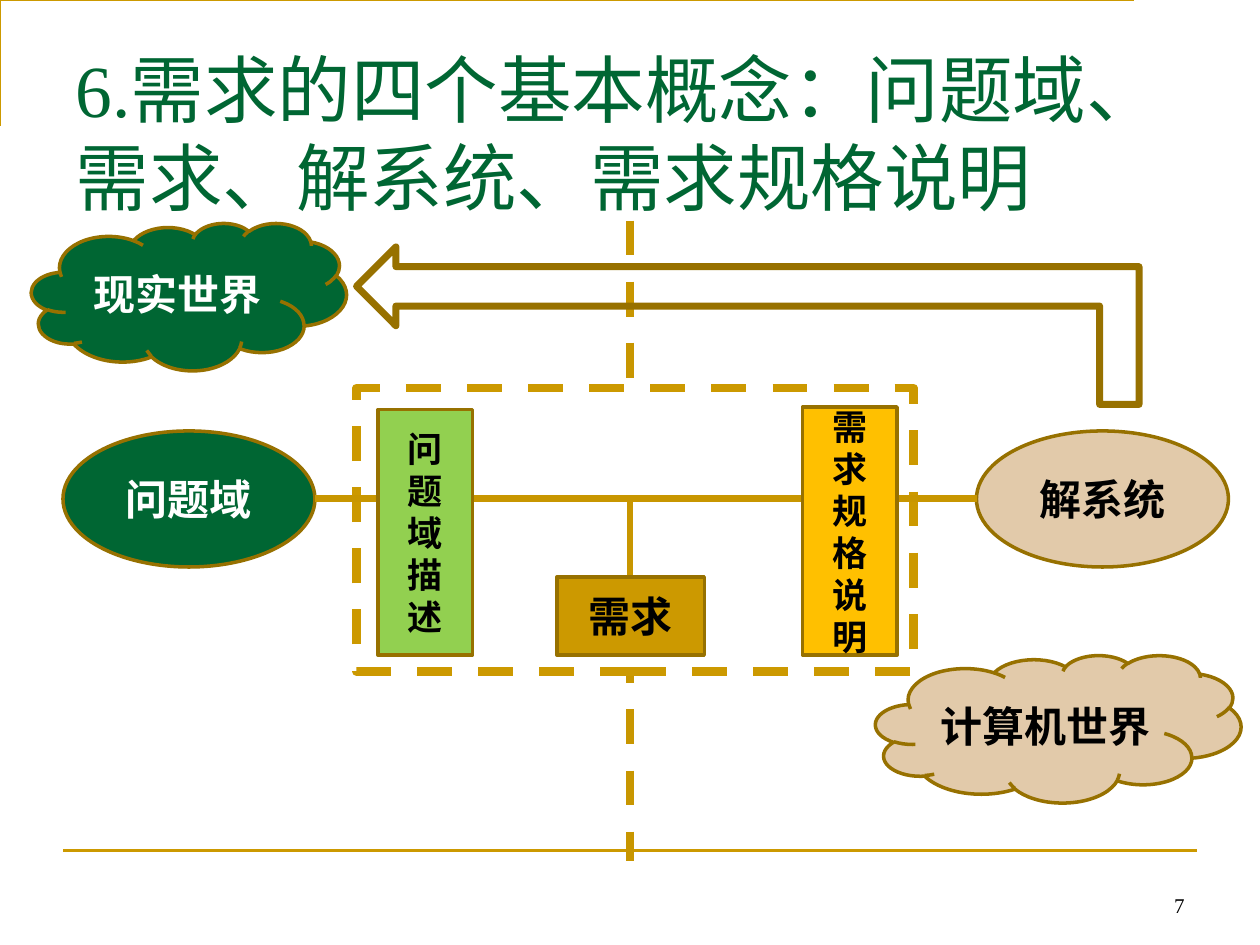
from dataclasses import dataclass

from lxml import etree
from pptx import Presentation
from pptx.dml.color import RGBColor
from pptx.enum import dml, shapes, text
from pptx.oxml import ns
from pptx.util import Inches, Pt

COLORS = {
    "gold": "CC9900", "link": "C89600", "outline": "977100",
    "green": "006633", "tan": "E2CAAA", "lime": "92D050", "amber": "FFC000",
    "white": "FFFFFF", "black": "000000",
}
KIND = shapes.MSO_SHAPE
ALIGN = text.PP_ALIGN


@dataclass
class Node:
    kind: int
    left: float
    top: float
    width: float
    height: float
    fill: str | None
    label: str = ""
    size: int = 24
    ink: str = "black"
    line: str = "outline"
    weight: float = 2
    dashed: bool = False
    rotation: float = 0


@dataclass
class Link:
    start: tuple[float, float]
    end: tuple[float, float]
    color: str = "link"
    weight: float = 4
    dashed: bool = False


def rgb(name: str) -> RGBColor:
    return RGBColor.from_string(COLORS[name])


def style_line(line, color: str, weight: float, dashed: bool = False) -> None:
    line.color.rgb = rgb(color)
    line.width = Pt(weight)
    if dashed:
        line.dash_style = dml.MSO_LINE.DASH


def write(frame, words: str, size: int, font: str, color: str,
          align, anchor, bold: bool = False) -> None:
    frame.word_wrap = True
    frame.auto_size = text.MSO_AUTO_SIZE.NONE
    frame.vertical_anchor = anchor
    para = frame.paragraphs[0]
    para.alignment = align
    span = para.add_run()
    span.text = words
    span.font.size = Pt(size)
    span.font.name = font
    span.font.bold = bold
    span.font.color.rgb = rgb(color)


def draw_node(page, node: Node) -> None:
    shape = page.shapes.add_shape(node.kind, Inches(node.left), Inches(node.top),
                                  Inches(node.width), Inches(node.height))
    shape.shadow.inherit = False
    shape.rotation = node.rotation
    style_line(shape.line, node.line, node.weight, node.dashed)
    if node.fill:
        shape.fill.solid()
        shape.fill.fore_color.rgb = rgb(node.fill)
    else:
        shape.fill.background()
    if node.label:
        write(shape.text_frame, node.label, node.size, "Arial", node.ink,
              ALIGN.CENTER, text.MSO_ANCHOR.MIDDLE, bold=True)


def draw_link(page, link: Link) -> None:
    ends = [Inches(value) for value in (*link.start, *link.end)]
    line = page.shapes.add_connector(shapes.MSO_CONNECTOR.STRAIGHT, *ends)
    style_line(line.line, link.color, link.weight, link.dashed)
    etree.SubElement(line._element.spPr, ns.qn("a:effectLst"))


def draw_corner(page) -> None:
    """Thin rule along the top and down the left of the title."""
    builder = page.shapes.build_freeform(0.42, 0.92, scale=Inches(1))
    builder.add_line_segments([(0.42, 0.25), (9.42, 0.25)], close=False)
    corner = builder.convert_to_shape()
    corner.shadow.inherit = False
    corner.fill.background()
    style_line(corner.line, "gold", 1.5)


def draw_title(page) -> None:
    title = page.shapes.title
    title.left, title.top = Inches(0.5), Inches(0.3)
    title.width, title.height = Inches(9), Inches(1.25)
    write(title.text_frame, "6.需求的四个基本概念：问题域、需求、解系统、需求规格说明",
          42, "Times New Roman", "green", ALIGN.LEFT, text.MSO_ANCHOR.TOP)


def draw_page_number(page) -> None:
    box = page.shapes.add_textbox(Inches(7.17), Inches(6.83), Inches(2.33), Inches(0.5))
    write(box.text_frame, "7", 12, "Times New Roman", "black",
          ALIGN.RIGHT, text.MSO_ANCHOR.BOTTOM)


DIAGRAM = [
    Link((0.5, 6.75), (9.5, 6.75), "gold", 1.5),
    Link((5, 1.75), (5, 6.83), weight=5, dashed=True),
    Node(KIND.RECTANGLE, 2.83, 3.08, 4.42, 2.25, "white",
         line="gold", weight=5, dashed=True),
    Node(KIND.CLOUD, 0.25, 1.77, 2.5, 1.17, "green", "现实世界", ink="white"),
    Node(KIND.CLOUD, 6.95, 5.2, 2.9, 1.17, "tan", "计算机世界"),
    Node(KIND.OVAL, 0.5, 3.42, 2, 1.08, "green", "问题域", ink="white"),
    Node(KIND.OVAL, 7.75, 3.42, 2, 1.08, "tan", "解系统"),
    Link((2.5, 3.96), (7.75, 3.96)),
    Link((5, 3.96), (5, 5.2)),
    Node(KIND.RECTANGLE, 3, 3.25, 0.75, 1.95, "lime", "问题域描述", size=20),
    Node(KIND.RECTANGLE, 6.37, 3.23, 0.75, 1.97, "amber", "需求规格说明", size=20),
    Node(KIND.RECTANGLE, 4.42, 4.58, 1.17, 0.62, "gold", "需求"),
    Node(KIND.BENT_UP_ARROW, 5.31, -0.52, 1.25, 6.21, None, weight=4, rotation=270),
]


def main() -> None:
    deck = Presentation()
    deck.slide_width, deck.slide_height = Inches(10), Inches(7.5)
    page = deck.slides.add_slide(deck.slide_layouts[5])
    draw_corner(page)
    draw_title(page)
    draw_page_number(page)
    for item in DIAGRAM:
        if isinstance(item, Node):
            draw_node(page, item)
        else:
            draw_link(page, item)
    deck.save("out.pptx")


if __name__ == "__main__":
    main()
